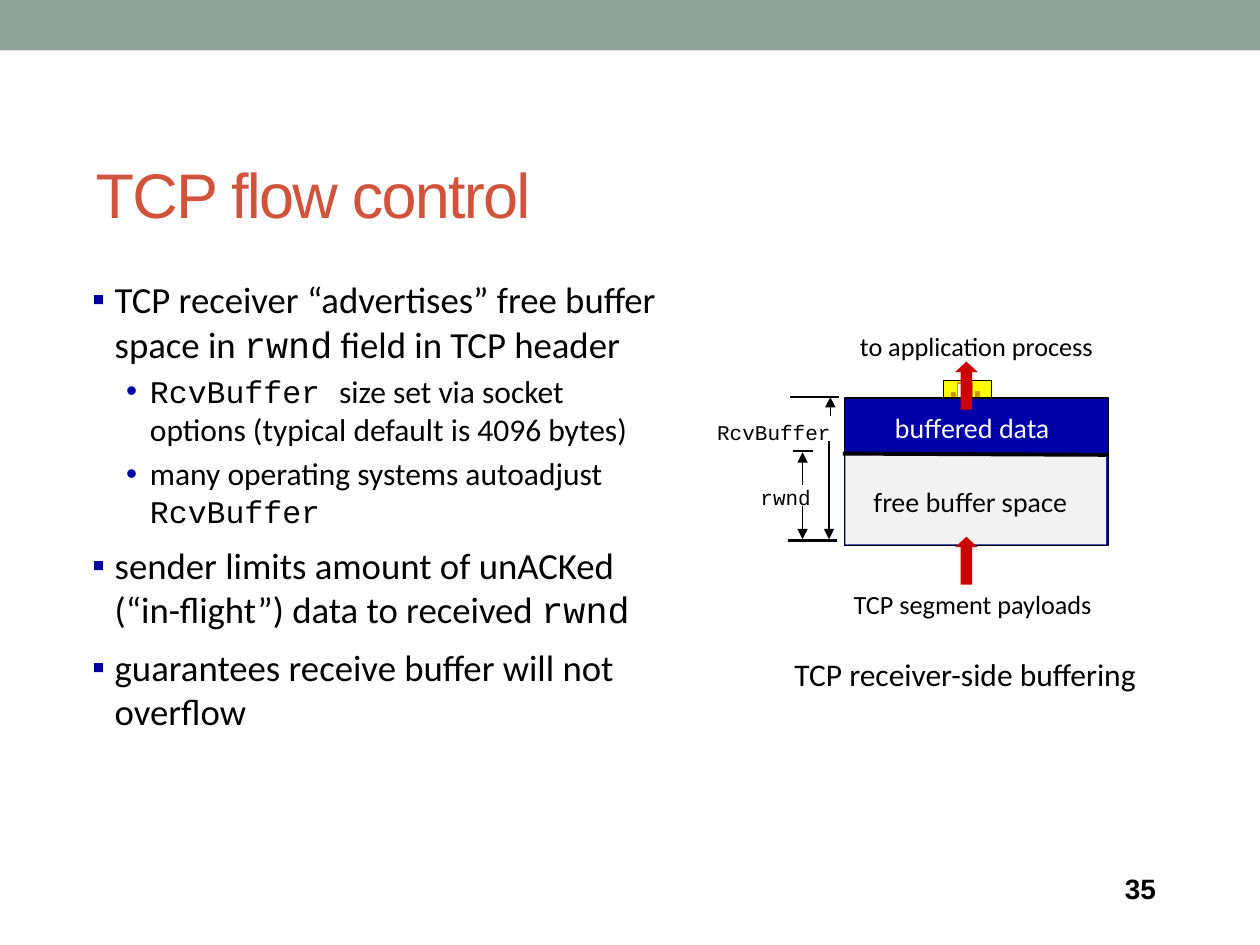
from lxml import etree
from pptx import Presentation, util as u
from pptx.dml.color import RGBColor
from pptx.enum import shapes, text
from pptx.oxml.ns import qn

THEME = {
    "band": "93A299", "title": "D2533C", "ink": "000000", "white": "FFFFFF",
    "square": "0000A3", "blue": "0000A8", "free": "F2F2F2", "red": "CC0000",
    "yellow": "FFFF00", "gold": "CC9900",
    "head": "Arial", "body": "Calibri", "code": "Courier New", "label": "Lato",
    "title_pt": 36, "bullet_pt": 21, "sub_pt": 18, "label_pt": 15,
    "code_pt": 12, "number_pt": 16,
}
T = THEME

prs = Presentation()
prs.slide_width, prs.slide_height = u.Inches(10), u.Inches(7.5)
# Grid of 100 columns by 75 rows
COL, ROW = prs.slide_width / 100, prs.slide_height / 75
s = prs.slides.add_slide(prs.slide_layouts[5])


def add_label(x, y, w, h, words, size, font="body", color="ink",
              align=text.PP_ALIGN.CENTER, wrap=False):
    sp = s.shapes.add_textbox(int(x * COL), int(y * ROW), int(w * COL), int(h * ROW))
    tf = sp.text_frame
    tf.word_wrap = wrap
    p = tf.paragraphs[0]
    p.text = words
    p.alignment = align
    f = p.runs[0].font
    f.size, f.name = u.Pt(T[size]), T[font]
    f.color.rgb = RGBColor.from_string(T[color])
    return sp


def add_line(x1, y1, x2, y2, width, arrow=False):
    sp = s.shapes.add_connector(shapes.MSO_CONNECTOR.STRAIGHT, int(x1 * COL),
                                int(y1 * ROW), int(x2 * COL), int(y2 * ROW))
    sp.line.width = u.Pt(width)
    sp.line.color.rgb = RGBColor.from_string(T["ink"])
    spPr = sp._element.spPr
    if arrow:
        etree.SubElement(spPr.find(qn("a:ln")), qn("a:headEnd"), type="triangle")
    etree.SubElement(spPr, qn("a:effectLst"))


# Title
title = s.shapes.title
title.left, title.top = int(6.6 * COL), int(11.7 * ROW)
title.width, title.height = int(93.4 * COL), int(7.3 * ROW)
tf = title.text_frame
tf.text = "TCP flow control"
tf.vertical_anchor = text.MSO_ANCHOR.MIDDLE
p = tf.paragraphs[0]
p.alignment = text.PP_ALIGN.LEFT
r = p.runs[0]
r.font.size, r.font.name = u.Pt(T["title_pt"]), T["head"]
r.font.color.rgb = RGBColor.from_string(T["title"])
r.font._element.set("spc", "-100")

# Bullets: level, then runs of (words, font)
bullets = [
    (0, [("TCP receiver “advertises” free buffer space in ", "body"),
         ("rwnd", "code"), (" field in TCP header", "body")]),
    (1, [("RcvBuffer ", "code"),
         ("size set via socket options (typical default is 4096 bytes)", "body")]),
    (1, [("many operating systems autoadjust ", "body"), ("RcvBuffer", "code")]),
    (0, [("sender limits amount of unACKed (“in-flight”) data to received ", "body"),
         ("rwnd", "code")]),
    (0, [("guarantees receive buffer will not overflow", "body")]),
]
# Per level: size, space before, left margin, hanging indent, mark, mark colour
levels = [("bullet_pt", 7.5, 2.9, 1.8, "▪", "square"),
          ("sub_pt", 3.8, 5.7, 1.9, "•", "blue")]
sp = s.shapes.add_textbox(int(5.5 * COL), int(21.6 * ROW), int(47.8 * COL), int(40.2 * ROW))
tf = sp.text_frame
tf.word_wrap = True
tf.margin_left = tf.margin_right = int(0.7 * COL)
tf.margin_top = tf.margin_bottom = int(0.4 * ROW)
for i, (level, runs) in enumerate(bullets):
    size, before, margin, hang, mark, mark_color = levels[level]
    p = tf.paragraphs[0] if i == 0 else tf.add_paragraph()
    p.level, p.space_before = level, u.Pt(before)
    for words, font in runs:
        r = p.add_run()
        r.text = words
        r.font.size, r.font.name = u.Pt(T[size]), T[font]
        r.font.color.rgb = RGBColor.from_string(T["ink"])
    pPr = p._p.get_or_add_pPr()
    pPr.set("marL", str(int(margin * COL)))
    pPr.set("indent", str(int(-hang * COL)))
    clr = etree.SubElement(pPr, qn("a:buClr"))
    etree.SubElement(clr, qn("a:srgbClr"), val=T[mark_color])
    etree.SubElement(pPr, qn("a:buFont"), typeface=T["head"])
    etree.SubElement(pPr, qn("a:buChar"), char=mark)

# Top band, socket and buffer, from back to front
RECT, UP = shapes.MSO_SHAPE.RECTANGLE, shapes.MSO_SHAPE.UP_ARROW
for kind, x, y, w, h, fill, line in [
    (RECT, 0, 0, 100, 4, "band", None),
    (RECT, 74.9, 30.2, 3.8, 1.7, "yellow", "ink"),
    (RECT, 76, 30.4, 1.2, 1.3, "white", "gold"),
    (RECT, 77.4, 31.1, 0.3, 0.5, "gold", "gold"),
    (RECT, 75.5, 31.2, 0.3, 0.5, "gold", "gold"),
    (RECT, 67, 31.6, 21, 11.7, "blue", "ink"),
    (UP, 75.8, 28.7, 1.8, 3.8, "red", None),
    (RECT, 67.1, 36, 20.7, 7.2, "free", None),
    (UP, 75.8, 42.6, 1.8, 3.8, "red", None),
]:
    sp = s.shapes.add_shape(kind, int(x * COL), int(y * ROW), int(w * COL), int(h * ROW))
    sp.shadow.inherit = False
    sp.fill.solid()
    sp.fill.fore_color.rgb = RGBColor.from_string(T[fill])
    if line:
        sp.line.width = u.Pt(0.75)
        sp.line.color.rgb = RGBColor.from_string(T[line])
    else:
        sp.line.fill.background()
    if kind == UP:
        sp.adjustments[0], sp.adjustments[1] = 0.5, 0.46

# Divider between buffered data and free space
add_line(66.9, 36, 88, 36.1, 2.25)

# Labels in and around the buffer
add_label(69.9, 32.2, 14.5, 3.5, "buffered data", "label_pt", "label", "white")
add_label(68.1, 38.1, 17.8, 3.5, "free buffer space", "label_pt", "label")
add_label(66.6, 46.2, 21.2, 3.5, "TCP segment payloads", "label_pt")
add_label(67.1, 25.7, 20.8, 3.5, "to application process", "label_pt")
add_label(61.7, 51.5, 29.8, 4, "TCP receiver-side buffering", "sub_pt")
add_label(59.3, 38, 6.1, 3, "rwnd", "code_pt", "code")
add_label(55.7, 32.8, 11.2, 3, "RcvBuffer", "code_pt", "code",
          align=text.PP_ALIGN.RIGHT)

# Measure ticks, then arrows pointing at their first end
for x1, x2, y in [(62.5, 66.4, 42.9), (62.9, 64.5, 35.8), (62.7, 66.6, 31.5)]:
    add_line(x1, y, x2, y, 1.5)
for x, tip, end in [(63.7, 35.9, 38.5), (63.7, 42.8, 40.2),
                    (65.9, 31.5, 33), (65.8, 42.8, 35)]:
    add_line(x, tip, x, end, 0.75, arrow=True)

# Slide number
sp = add_label(88.3, 68.7, 7.9, 3.6, "35", "number_pt", "head",
               align=text.PP_ALIGN.LEFT, wrap=True)
sp.text_frame.vertical_anchor = text.MSO_ANCHOR.MIDDLE
sp.text_frame.paragraphs[0].runs[0].font.bold = True

prs.save("out.pptx")
